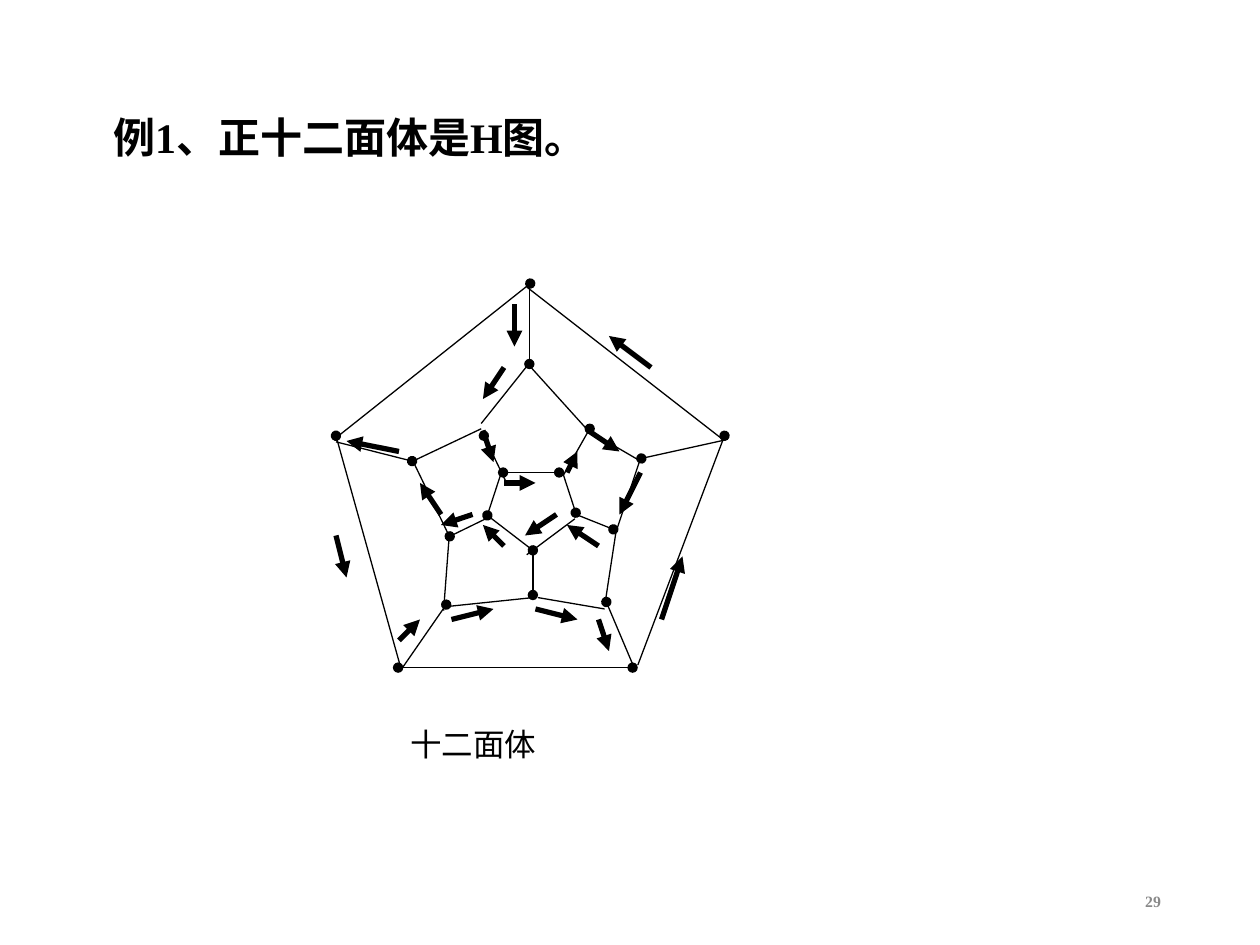
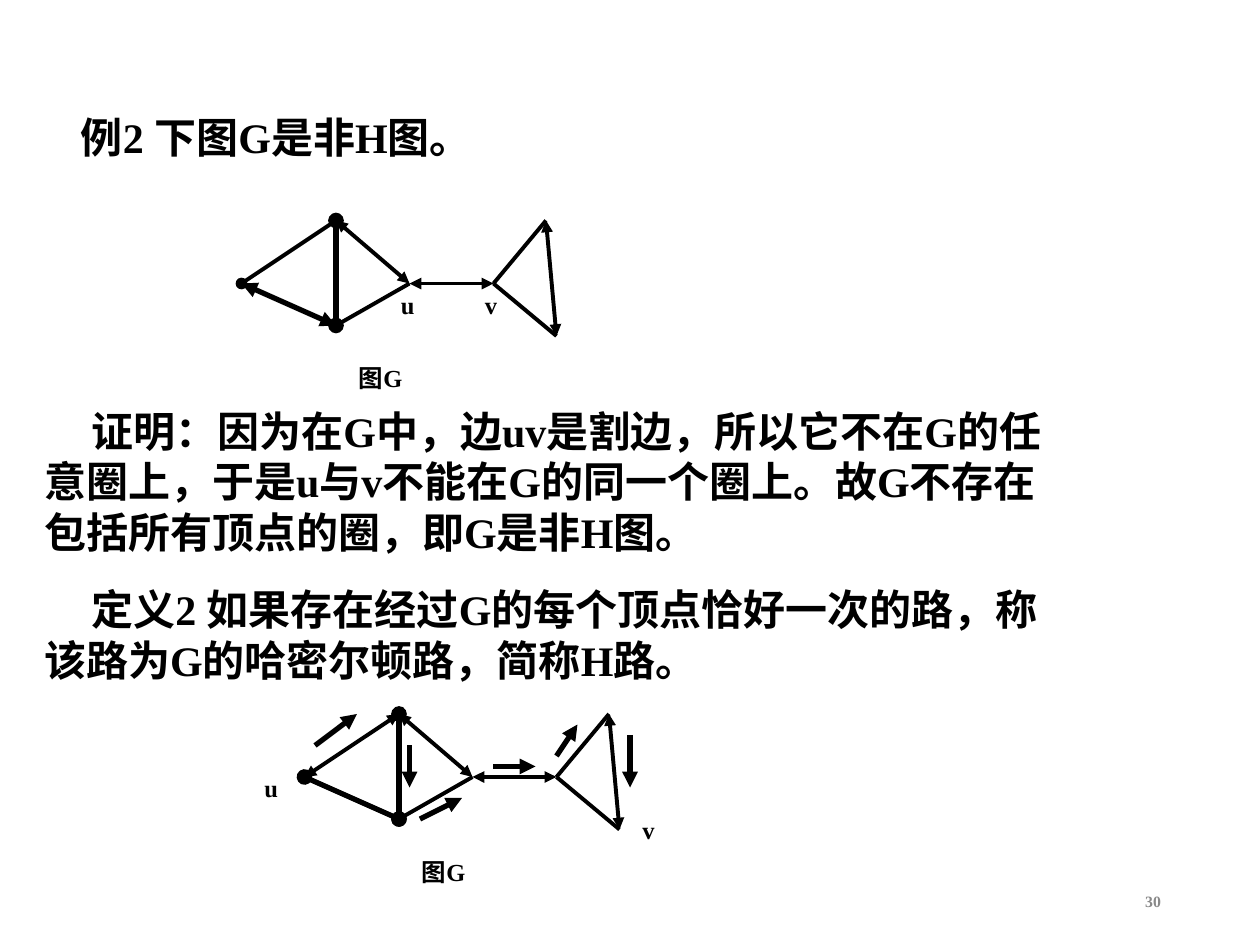
from lxml.etree import SubElement
from pptx import Presentation
from pptx.dml.color import RGBColor
from pptx.enum.shapes import MSO_CONNECTOR as LineKind
from pptx.enum.shapes import MSO_SHAPE as Preset
from pptx.enum.text import MSO_ANCHOR as Anchor
from pptx.enum.text import MSO_AUTO_SIZE as AutoSize
from pptx.enum.text import PP_ALIGN as Align
from pptx.oxml.ns import qn
from pptx.util import Pt

# Shared look
BLACK = RGBColor(0x00, 0x00, 0x00)
WHITE = RGBColor(0xFF, 0xFF, 0xFF)
GREY = RGBColor(0x89, 0x89, 0x89)
FONT = "Times New Roman"
TEXT_SIZE, LABEL_SIZE = 24, 14
THIN, MEDIUM, THICK = 0.75, 2.25, 3
TITLE_ONLY, TWO_CONTENT = 5, 3
TITLE_TOP, TITLE_HEIGHT = 60, 36

# Dodecahedron edges (x1, y1, x2, y2), grouped by where they carry vertex dots
EDGES_DOT_AT_START = [
    (303, 162, 193.5, 249), (192, 249, 229, 381.5), (255, 345.5, 229, 383),
    (414, 249, 364.5, 380), (346.5, 344, 363, 383), (235.5, 263.5, 192, 252.5),
    (366.5, 262, 414, 251.5), (302.5, 208, 302.5, 162), (278.5, 294.5, 286, 271.5),
    (329, 293, 322, 271.5), (304.5, 314.5, 278.5, 294.5), (276.5, 249, 289.5, 276),
    (337, 245, 322, 271.5), (257, 306.5, 278.5, 296), (350.5, 302.5, 330.5, 294.5),
    (304.5, 340, 304.5, 316),
]
EDGES_DOT_AT_BOTH = [(361.5, 381.5, 227.5, 381.5), (319.5, 270, 287.5, 270)]
EDGES_PLAIN = [
    (301, 164, 413.5, 251.5), (328.5, 296.5, 301, 317), (302.5, 207.5, 275, 242),
    (303, 209.5, 336, 246), (336, 246, 366, 263.5), (366, 262, 352, 304),
    (307.5, 341.5, 345.5, 348), (352, 304, 345.5, 346.5), (256.5, 309, 253.5, 349),
    (256.5, 346.5, 304.5, 341.5), (236, 263.5, 275, 245), (236, 263.5, 258, 309),
]

# Arrows that follow the Hamilton cycle and the Hamilton path
CYCLE_ARROWS = [
    (192, 306, 198, 330), (228, 366, 240, 354), (258, 354, 282, 348),
    (306, 348, 330, 354), (342, 354, 348, 372), (378, 354, 390, 318),
    (372, 210, 348, 192), (294, 174, 294, 198), (288, 210, 276, 228),
    (276, 246, 282, 264), (288, 276, 306, 276), (324, 270, 330, 258),
    (336, 246, 354, 258), (366, 270, 354, 294), (342, 312, 324, 300),
    (318, 294, 300, 306), (288, 312, 276, 300), (270, 294, 252, 300),
    (252, 294, 240, 276), (228, 258, 198, 252),
]
PATH_ARROWS = [
    (180, 426, 204, 408), (234, 426, 234, 450), (240, 468, 264, 456),
    (282, 438, 306, 438), (318, 432, 330, 414), (360, 420, 360, 450),
]

# Graph G: vertices, and edges as (start, end, width, marker at both ends)
VERTICES = {
    "north": (192, 126), "west": (138, 162), "south": (192, 186),
    "u": (234, 162), "v": (282, 162), "tip": (312, 126), "foot": (318, 192),
}
GRAPH_EDGES = [
    ("north", "south", THICK, "oval"),
    ("north", "u", MEDIUM, "triangle"),
    ("south", "u", MEDIUM, None),
    ("u", "v", MEDIUM, "triangle"),
    ("tip", "v", MEDIUM, None),
    ("v", "foot", MEDIUM, None),
    ("tip", "foot", MEDIUM, "triangle"),
]


def draw_line(page, ends, width, head=None, tail=None):
    line = page.shapes.add_connector(LineKind.STRAIGHT, *(Pt(n) for n in ends))
    line.line.color.rgb = BLACK
    line.line.width = Pt(width)
    outline = line.line._get_or_add_ln()
    for tag, marker in (("a:headEnd", head), ("a:tailEnd", tail)):
        if marker:
            SubElement(outline, qn(tag)).set("type", marker)
    SubElement(line._element.spPr, qn("a:effectLst"))


def write(box, text, size, bold=True, color=BLACK, align=Align.LEFT,
          indent=0, anchor=Anchor.TOP):
    frame = box.text_frame
    frame.word_wrap = True
    frame.auto_size = AutoSize.NONE
    frame.vertical_anchor = anchor
    para = frame.paragraphs[0]
    para.text = text
    para.alignment = align
    para.space_before = Pt(0)
    properties = para._p.get_or_add_pPr()
    properties.set("marL", "0")
    properties.set("indent", str(Pt(indent)))
    SubElement(properties, qn("a:buNone"))
    para.font.name = FONT
    para.font.size = Pt(size)
    para.font.bold = bold
    para.font.color.rgb = color


def add_label(page, text, left, top, width=43, height=24.5, size=LABEL_SIZE, **style):
    box = page.shapes.add_textbox(Pt(left), Pt(top), Pt(width), Pt(height))
    write(box, text, size, **style)


def fill_placeholder(holder, text, left, top, width, height, indent):
    holder.left, holder.top = Pt(left), Pt(top)
    holder.width, holder.height = Pt(width), Pt(height)
    write(holder, text, TEXT_SIZE, indent=indent)


def add_page(deck, layout, number, title, left, width, indent):
    page = deck.slides.add_slide(deck.slide_layouts[layout])
    fill_placeholder(page.shapes.title, title, left, TITLE_TOP, width, TITLE_HEIGHT, indent)
    add_label(page, str(number), 508.5, 500.5, 162, 29, size=9, color=GREY,
              align=Align.RIGHT, anchor=Anchor.MIDDLE)
    return page


def draw_graph(page, dx, dy, west_edges):
    for start, end, width, marker in west_edges + GRAPH_EDGES:
        (x1, y1), (x2, y2) = VERTICES[start], VERTICES[end]
        draw_line(page, (x1 + dx, y1 + dy, x2 + dx, y2 + dy), width, marker, marker)
    add_label(page, "图G", 198 + dx, 204 + dy, width=67)


def draw_arrows(page, arrows):
    for ends in arrows:
        draw_line(page, ends, THICK, tail="triangle")


def build_dodecahedron(deck):
    page = add_page(deck, TITLE_ONLY, 29, "例1、正十二面体是H图。", 36, 588, 21.5)
    for edges, head, tail in ((EDGES_DOT_AT_START, "oval", None),
                              (EDGES_DOT_AT_BOTH, "oval", "oval"),
                              (EDGES_PLAIN, None, None)):
        for ends in edges:
            draw_line(page, ends, THIN, head, tail)

    # Caption
    caption = page.shapes.add_shape(Preset.RECTANGLE, Pt(227.5), Pt(411), Pt(160.5), Pt(51))
    caption.shadow.inherit = False
    caption.fill.solid()
    caption.fill.fore_color.rgb = WHITE
    caption.line.fill.background()
    write(caption, "十二面体", 18, bold=False, align=Align.JUSTIFY)

    draw_arrows(page, CYCLE_ARROWS)


def build_graph_page(deck):
    page = add_page(deck, TWO_CONTENT, 30, "例2 下图G是非H图。", 12, 594, 27)

    # Proof and definition
    proof, definition = list(page.placeholders)[1:3]
    fill_placeholder(
        proof, "证明：因为在G中，边uv是割边，所以它不在G的任意圈上，于是u与v不能在G的"
        "同一个圈上。故G不存在包括所有顶点的圈，即G是非H图。", 18, 228, 594, 94, 27)
    fill_placeholder(
        definition, "定义2 如果存在经过G的每个顶点恰好一次的路，称该路为G的哈密尔顿路，"
        "简称H路。", 18, 330, 594, 65, 27)

    # Upper graph: uv is a cut edge
    draw_graph(page, 0, 0, [("north", "west", MEDIUM, "oval"),
                            ("west", "south", THICK, "triangle")])
    add_label(page, "u", 222, 162)
    add_label(page, "v", 270, 162)

    # Lower graph: Hamilton path from u to v
    draw_graph(page, 36, 282, [("north", "west", MEDIUM, "triangle"),
                               ("west", "south", THICK, "oval")])
    add_label(page, "u", 144, 438)
    add_label(page, "v", 360, 462)
    draw_arrows(page, PATH_ARROWS)


def main():
    deck = Presentation()
    deck.slide_width, deck.slide_height = Pt(720), Pt(540)
    build_dodecahedron(deck)
    build_graph_page(deck)
    deck.save("out.pptx")


if __name__ == "__main__":
    main()
